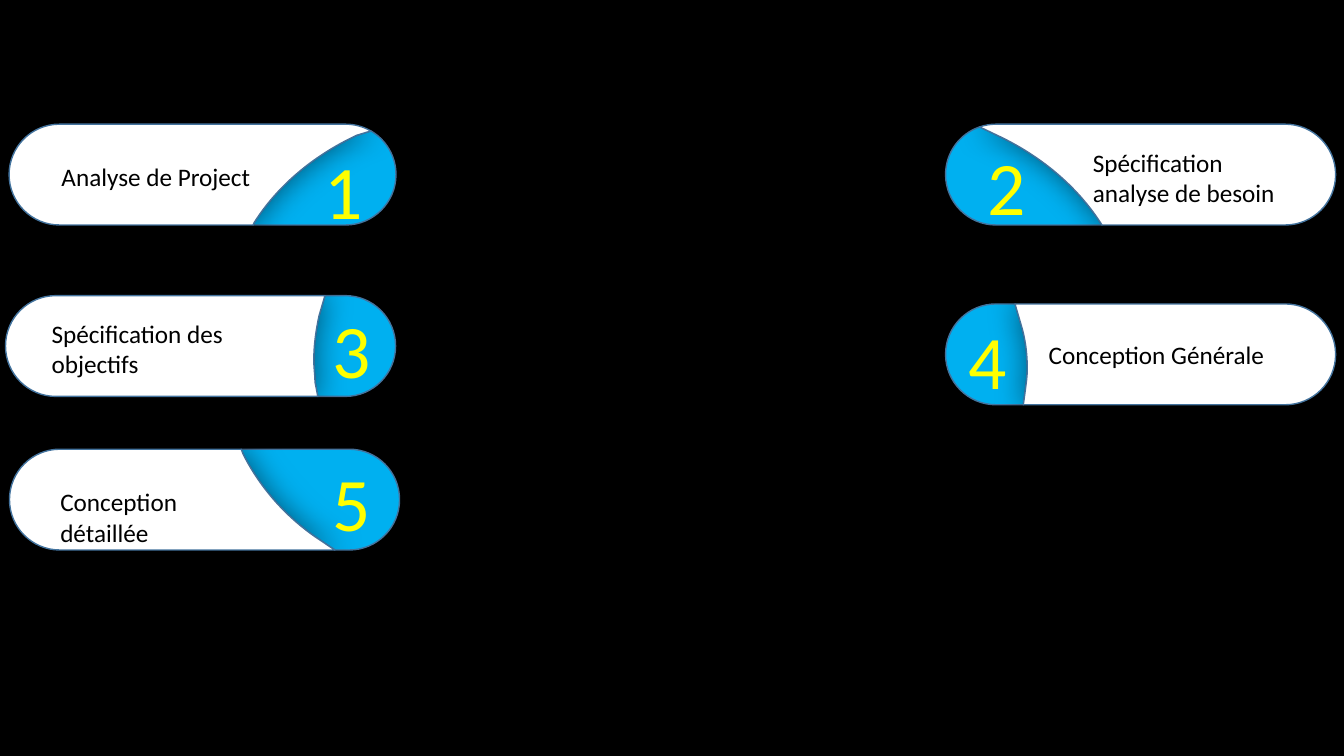
import math
from dataclasses import dataclass

from lxml import etree
from pptx import Presentation
from pptx import util as u
from pptx.dml.color import RGBColor
from pptx.enum import text
from pptx.oxml.ns import qn

BLACK = RGBColor(0x00, 0x00, 0x00)
WHITE = RGBColor(0xFF, 0xFF, 0xFF)
BLUE = RGBColor(0x00, 0xB0, 0xF0)
OUTLINE = RGBColor(0x43, 0x73, 0x9E)
YELLOW = RGBColor(0xFF, 0xFF, 0x00)

RADIUS = 1.27
HEIGHT = 2 * RADIUS


@dataclass
class Pill:
    """One agenda entry in cm; seam steps of one point are lines, of three are curves."""
    number: str
    label: str
    number_on_right: bool
    left: float
    top: float
    width: float
    seam_top: tuple
    seam: list
    number_at: tuple
    label_box: tuple


PILLS = [
    Pill("1", "Analyse de Project", True, 0.23, 3.13, 9.75, (9.12, 0.17),
         [[(8.76, 0.28)], [(7.67, 0.79), (6.76, 1.55), (6.17, 2.49)], [(6.15, HEIGHT)]],
         (7.67, 3.51), (1.3, 3.94, 5.33, 1.02)),
    Pill("2", "Spécification analyse de besoin", False, 23.83, 3.13, 9.83, (0.86, 0.07),
         [[(1.3, 0.28)], [(2.39, 0.79), (3.3, 1.55), (3.91, 2.49)], [(3.94, HEIGHT)]],
         (24.38, 3.4), (27.29, 3.58, 5.33, 1.8)),
    Pill("3", "Spécification des objectifs", True, 0.14, 7.45, 9.83, (8.05, 0),
         [[(7.9, 0.51)], [(7.82, 0.89), (7.77, 1.24), (7.77, 1.63)],
          [(7.77, 1.83), (7.8, 2.01), (7.8, 2.18)], [(7.87, HEIGHT)]],
         (7.87, 7.52), (1.05, 7.9, 5.84, 1.8)),
    Pill("4", "Conception Générale", False, 23.83, 7.66, 9.83, (1.75, 0),
         [[(1.9, 0.51)], [(2.01, 0.86), (2.06, 1.24), (2.06, 1.63)],
          [(2.06, 1.83), (2.03, 2.01), (2.01, 2.18)], [(1.96, HEIGHT)]],
         (23.9, 7.78), (26.18, 8.43, 6.43, 1.02)),
    Pill("5", "Conception détaillée", True, 0.24, 11.32, 9.83, (5.84, 0),
         [[(5.89, 0.13)], [(6.3, 0.94), (6.93, 1.68), (7.75, 2.24)], [(8.2, HEIGHT)]],
         (7.87, 11.36), (1.27, 12.14, 4.98, 1.8)),
]


def arc(center_x, start, end):
    """Start point and curve step of a clockwise arc, angles in degrees."""
    a, b = math.radians(start), math.radians(end)
    pull = 4 / 3 * math.tan((b - a) / 4)

    def spot(angle, tangent):
        return (center_x + RADIUS * (math.cos(angle) - tangent * math.sin(angle)),
                RADIUS + RADIUS * (math.sin(angle) + tangent * math.cos(angle)))

    return spot(a, 0), [spot(a, pull), spot(b, -pull), spot(b, 0)]


def reverse(start, steps):
    points = [start] + [point for step in steps for point in step]
    points.reverse()
    position, turned = 1, []
    for step in reversed(steps):
        turned.append(points[position:position + len(step)])
        position += len(step)
    return points[0], turned


def cap_arcs(pill):
    """Clockwise arcs of both caps, an upper one cut where the seam meets it."""
    right = pill.width - RADIUS
    for center_x, start in ((RADIUS, 90), (RADIUS, 180), (right, 270), (right, 360)):
        cuts = [start, start + 90]
        offset = pill.seam_top[0] - center_x
        if (start == 180 and offset < 0) or (start == 270 and offset > 0):
            cuts.insert(1, 360 - math.degrees(math.acos(offset / RADIUS)))
        for a, b in zip(cuts, cuts[1:]):
            yield arc(center_x, a, b)


def split_pill(pill):
    """Cut the rounded outline along the seam into a left and a right part."""
    left_part = (pill.seam_top, list(pill.seam))
    right_part = reverse(pill.seam_top, pill.seam)
    for start, curve in cap_arcs(pill):
        middle_x = (start[0] + curve[-1][0]) / 2
        upper = start[1] + curve[-1][1] < HEIGHT
        seam_x = pill.seam_top[0] if upper else pill.seam[-1][-1][0]
        steps = (left_part if middle_x < seam_x else right_part)[1]
        if math.dist(steps[-1][-1], start) > 0.05:
            steps.append([start])
        steps.append(curve)
    return left_part, right_part


class Slide:
    font = "Calibri"

    def __init__(self, deck):
        self.page = deck.slides.add_slide(deck.slide_layouts[6])
        fill = self.page.background.fill
        fill.solid()
        fill.fore_color.rgb = BLACK

    def outline(self, group, pill, part, color):
        start, steps = part
        points = [start] + [point for step in steps for point in step]
        spots = [(u.Cm(pill.left + x), u.Cm(pill.top + y)) for x, y in points]
        builder = group.shapes.build_freeform(*spots[0])
        builder.add_line_segments(spots[1:], close=True)
        shape = builder.convert_to_shape()
        self.bend(shape, steps)
        shape.shadow.inherit = False
        shape.fill.solid()
        shape.fill.fore_color.rgb = color
        shape.line.color.rgb = OUTLINE
        shape.line.width = u.Pt(1)
        return shape

    def bend(self, shape, steps):
        """Join the three lines of each curve step into one Bézier segment."""
        lines = iter(list(shape.element.iter(qn("a:lnTo"))))
        for step in steps:
            members = [next(lines) for _ in step]
            if len(members) == 3:
                curve = etree.Element(qn("a:cubicBezTo"))
                members[0].addprevious(curve)
                for line in members:
                    curve.append(line[0])
                    line.getparent().remove(line)

    def soft_shadow(self, shape):
        effects = shape.element.spPr.find(qn("a:effectLst"))
        shadow = etree.SubElement(effects, qn("a:outerShdw"), blurRad=str(u.Pt(22)),
                                  dist="0", dir="5400000", rotWithShape="0")
        color = etree.SubElement(shadow, qn("a:srgbClr"), val=str(BLACK))
        etree.SubElement(color, qn("a:alpha"), val="50000")

    def text_box(self, group, area, words, size, color, align):
        box = group.shapes.add_textbox(*map(u.Cm, area))
        box.text_frame.word_wrap = True
        box.text_frame.auto_size = text.MSO_AUTO_SIZE.SHAPE_TO_FIT_TEXT
        para = box.text_frame.paragraphs[0]
        para.alignment = align
        span = para.add_run()
        span.text = words
        span.font.name = self.font
        span.font.size = u.Pt(size)
        span.font.color.rgb = color

    def pill(self, pill):
        group = self.page.shapes.add_group_shape()
        left_part, right_part = split_pill(pill)
        if pill.number_on_right:
            number_part, label_part = right_part, left_part
        else:
            number_part, label_part = left_part, right_part
        self.outline(group, pill, number_part, BLUE)
        self.soft_shadow(self.outline(group, pill, label_part, WHITE))
        self.text_box(group, (*pill.number_at, 1.98, 2.57), pill.number, 54, YELLOW,
                      text.PP_ALIGN.CENTER)
        self.text_box(group, pill.label_box, pill.label, 18, BLACK, text.PP_ALIGN.LEFT)


def main():
    deck = Presentation()
    deck.slide_width, deck.slide_height = u.Cm(33.87), u.Cm(19.05)
    slide = Slide(deck)
    for pill in PILLS:
        slide.pill(pill)
    deck.save("out.pptx")


if __name__ == "__main__":
    main()
